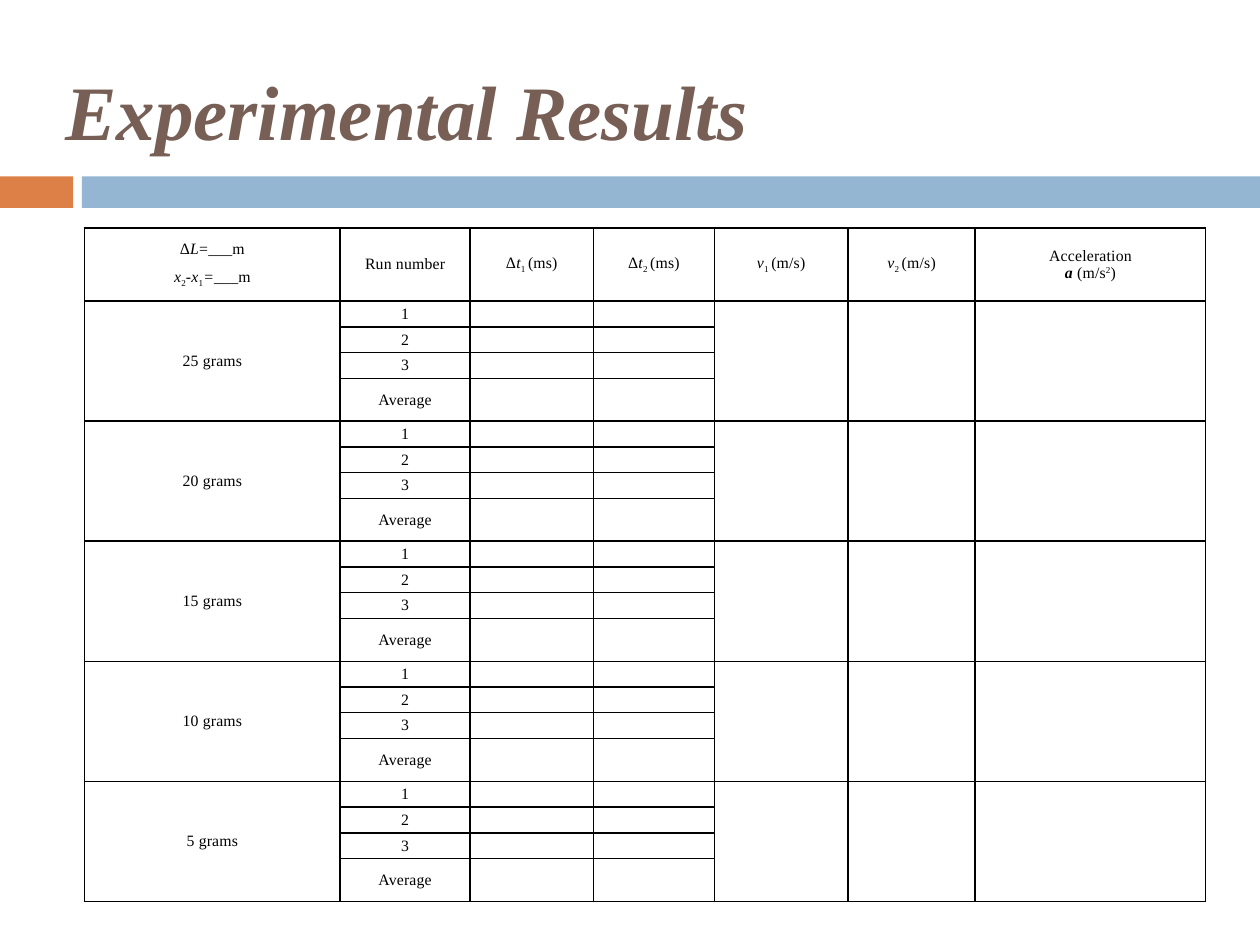
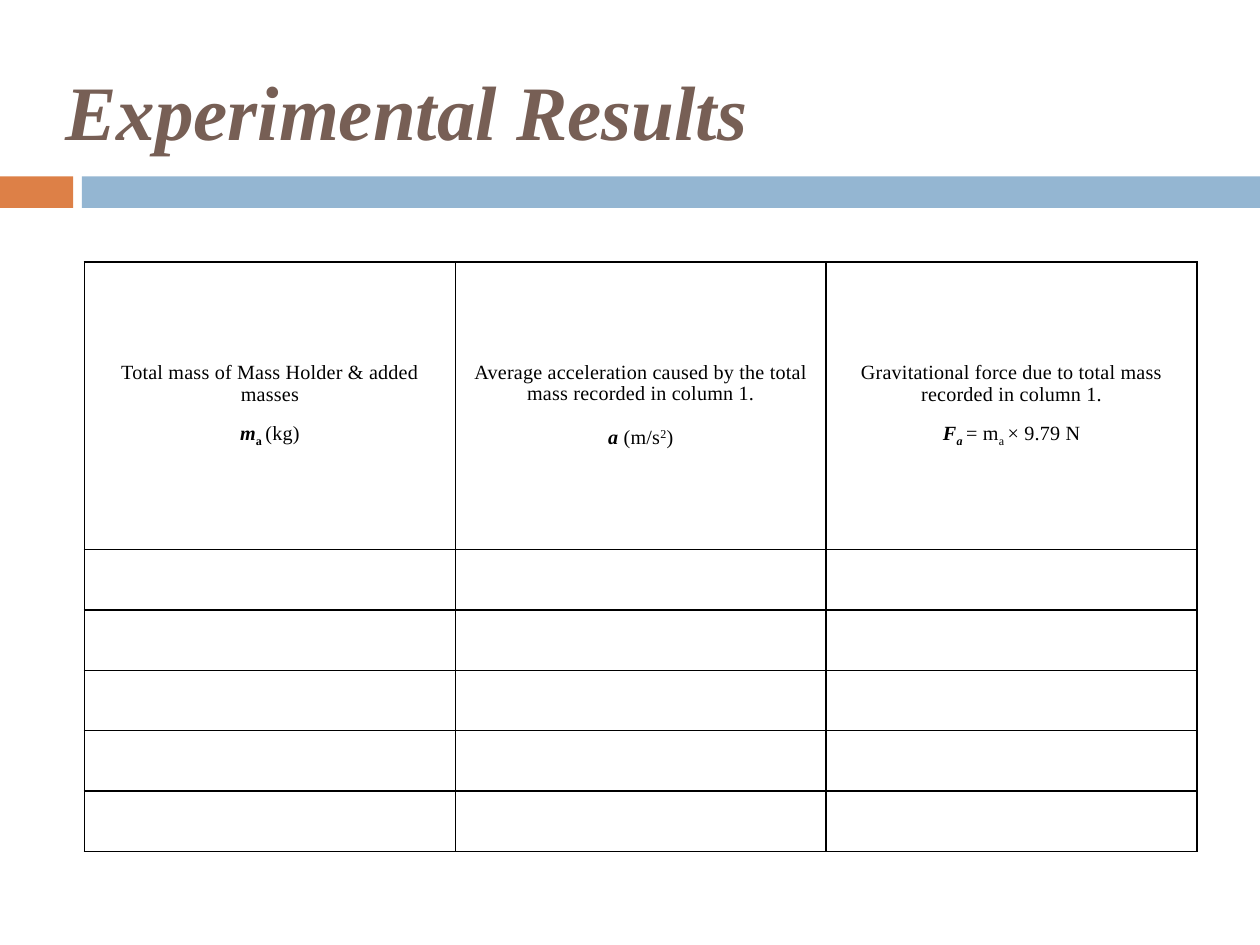
from pptx import Presentation
from pptx.dml.color import RGBColor as RGB
from pptx.enum.shapes import MSO_SHAPE as Shape
from pptx.enum.text import MSO_ANCHOR as Anchor, PP_ALIGN as Align
from pptx.util import Inches, Pt
from lxml.etree import SubElement as Sub
from pptx.oxml.ns import qn

HUES = {"title": "775F55", "accent": "DD8047", "band": "94B6D2", "ink": "000000"}
FACE = "Times New Roman"


def put(para, text, size=9, hue="ink", bold=False, italic=False, base=0, space=0):
    run = para.add_run()
    run.text = text
    font = run.font
    font.name, font.size = FACE, Pt(size)
    font.bold, font.italic = bold, italic
    font.color.rgb = RGB.from_string(HUES[hue])
    props = font._element
    if base:
        props.set("baseline", str(base * 1000))
    if space:
        props.set("spc", str(space))


class Deck:
    def __init__(self):
        self.show = Presentation()
        self.show.slide_width, self.show.slide_height = Inches(10), Inches(7.5)
        self.slide = None

    def page(self, title):
        self.slide = self.show.slides.add_slide(self.show.slide_layouts[6])
        self.band(0, 0.58, "accent")
        self.band(0.65, 9.35, "band")
        self.title(title)

    def band(self, left, width, hue):
        box = self.slide.shapes.add_shape(
            Shape.RECTANGLE, Inches(left), Inches(1.4), Inches(width), Inches(0.25))
        box.shadow.inherit = False
        box.fill.solid()
        box.fill.fore_color.rgb = RGB.from_string(HUES[hue])
        box.line.fill.background()

    def title(self, text):
        box = self.slide.shapes.add_textbox(
            Inches(0.42), Inches(0.33), Inches(8.92), Inches(1.08))
        frame = box.text_frame
        frame.word_wrap = True
        frame.vertical_anchor = Anchor.MIDDLE
        put(frame.paragraphs[0], text, size=44, hue="title", bold=True, italic=True)

    def grid(self, top, cols, rows, inset):
        frame = self.slide.shapes.add_table(
            len(rows), len(cols), Inches(0.67), Inches(top),
            Inches(sum(cols)), Inches(sum(rows)))
        table = frame.table
        table.first_row = table.horz_banding = False
        for col, width in zip(table.columns, cols):
            col.width = Inches(width)
        for row, height in zip(table.rows, rows):
            row.height = Inches(height)
        for cell in table.iter_cells():
            self.frame(cell, inset)
        return table

    def frame(self, cell, inset):
        cell.vertical_anchor = Anchor.MIDDLE
        cell.margin_left = cell.margin_right = Inches(inset)
        cell.margin_top = cell.margin_bottom = 0
        props = cell._tc.get_or_add_tcPr()
        for side in ("lnL", "lnR", "lnT", "lnB"):
            line = Sub(props, qn("a:" + side), w=str(Pt(1)))
            fill = Sub(line, qn("a:solidFill"))
            Sub(fill, qn("a:srgbClr"), val=HUES["ink"])
        cell.fill.background()
        Sub(cell.text_frame.paragraphs[0]._p, qn("a:endParaRPr"), sz="900")

    def label(self, cell, *paras, size=9, small=9, gap=0, lines=()):
        frame = cell.text_frame
        for index, parts in enumerate(paras):
            para = frame.add_paragraph() if index else frame.paragraphs[0]
            para.alignment = Align.CENTER
            if index and gap:
                para.space_before = Pt(gap)
            if lines:
                para.line_spacing = Pt(lines[index])
            for text, style in parts:
                base = -25 if "_" in style else 30 if "^" in style else 0
                put(para, text, size=small if base else size, bold="b" in style,
                    italic="i" in style, base=base, space=10)


def ratio(sign, mark, unit, lead=""):
    return [(lead, "")] * bool(lead) + [(sign, "i"), (mark + " ", "_"), (unit, "")]


def trials(deck):
    deck.page("Experimental Results")
    head, mean = 0.58, 0.34
    trial = ((5.35 - head) / 5 - mean) / 3
    cols = [2.03, 1.03, 0.98, 0.96, 1.06, 1.01, 1.83]
    table = deck.grid(1.81, cols, [head] + ([trial] * 3 + [mean]) * 5, 0.06)
    deck.label(
        table.cell(0, 0),
        [("Δ", ""), ("L", "i"), ("=___m", "")],
        [("x", "i"), ("2", "_"), ("-x", "i"), ("1", "_"), ("=", "i"), ("___m", "")],
        gap=6)
    heads = [
        [("Run number", "")],
        ratio("t", "1", "(ms)", "Δ"),
        ratio("t", "2", "(ms)", "Δ"),
        ratio("v", "1", "(m/s)"),
        ratio("v", "2", "(m/s)"),
    ]
    for col, parts in enumerate(heads, 1):
        deck.label(table.cell(0, col), parts)
    deck.label(table.cell(0, 6), [("Acceleration", "")],
               [("a ", "bi"), ("(m/s", ""), ("2", "^"), (")", "")])
    for block, mass in enumerate((25, 20, 15, 10, 5)):
        top = 1 + 4 * block
        for col in (0, 4, 5, 6):
            table.cell(top, col).merge(table.cell(top + 3, col))
        deck.label(table.cell(top, 0), [(f"{mass} grams", "")])
        for step, name in enumerate(("1", "2", "3", "Average")):
            deck.label(table.cell(top + step, 1), [(name, "")])


def forces(deck):
    deck.page("Experimental Results")
    table = deck.grid(2.08, [8.83 / 3] * 3, [2.28] + [0.48] * 5, 0.07)
    heads = [
        ("Total mass of Mass Holder & added masses", 12.2,
         [("m", "bi"), ("a ", "b_"), ("(kg)", "")]),
        ("Average acceleration caused by the total mass recorded in column 1.", 12.7,
         [("a ", "bi"), ("(m/s", ""), ("2", "^"), (")", "")]),
        ("Gravitational force due to total mass recorded in column 1.", 12.2,
         [("F", "bi"), ("a ", "bi_"), ("= m", ""), ("a ", "_"), ("× 9.79 N", "")]),
    ]
    for col, (text, gap, sign) in enumerate(heads):
        deck.label(table.cell(0, col), [(text, "")], sign,
                   size=11.5, small=12, gap=gap, lines=(12.2, gap))


def main():
    deck = Deck()
    trials(deck)
    forces(deck)
    deck.show.save("out.pptx")


if __name__ == "__main__":
    main()
